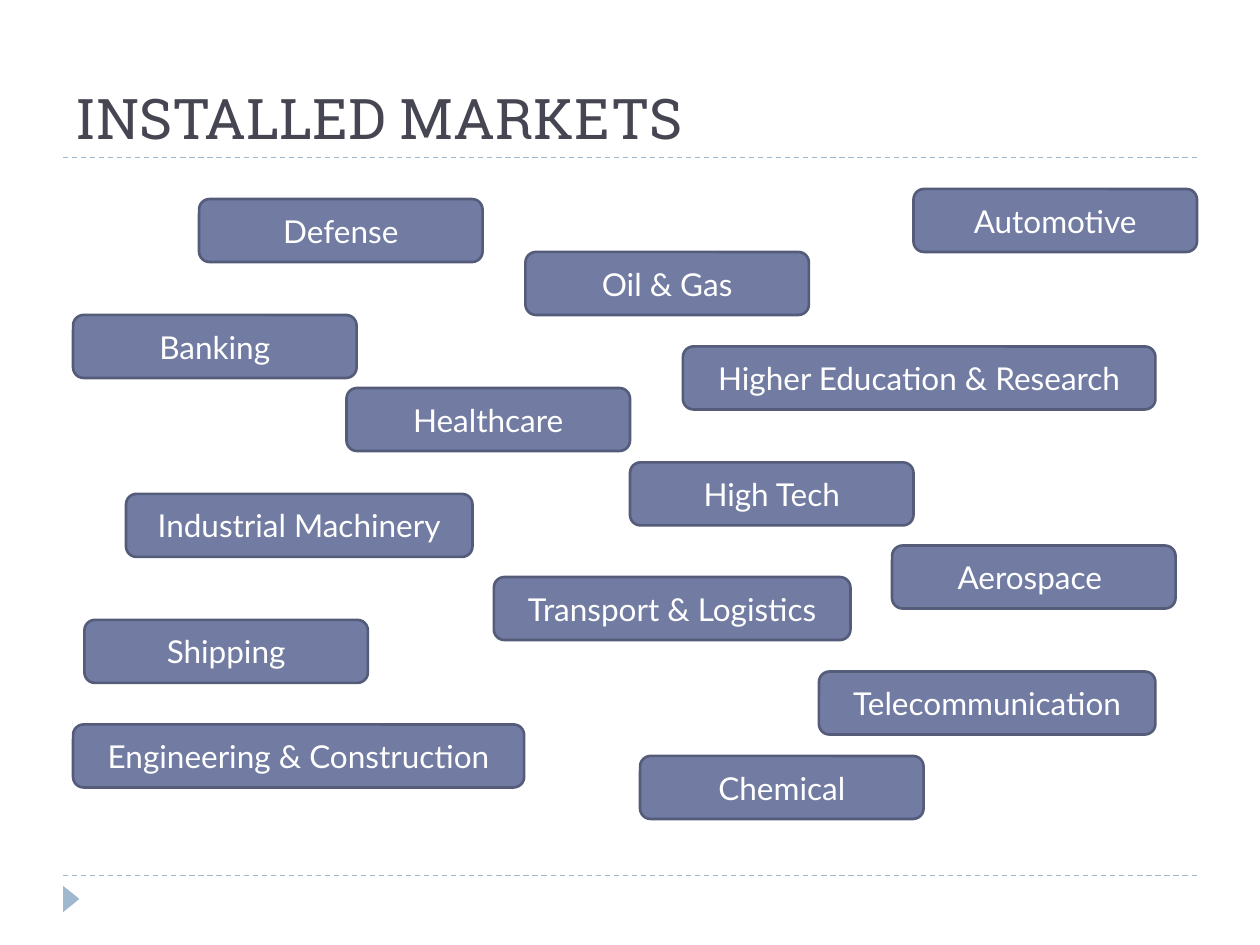
from lxml.etree import SubElement
from pptx import Presentation
from pptx.dml.color import RGBColor
from pptx.enum.dml import MSO_LINE
from pptx.enum.shapes import MSO_CONNECTOR, MSO_SHAPE
from pptx.enum.text import MSO_ANCHOR, MSO_AUTO_SIZE, PP_ALIGN
from pptx.oxml.ns import qn
from pptx.util import Inches, Pt

INK = RGBColor(0x46, 0x46, 0x53)
ACCENT = RGBColor(0x9F, 0xB8, 0xCD)
MARKET_FILL = RGBColor(0x72, 0x7C, 0xA3)
MARKET_EDGE = RGBColor(0x54, 0x5C, 0x79)
WHITE = RGBColor(0xFF, 0xFF, 0xFF)

MARKET_WIDTH, MARKET_HEIGHT = 2.25, 0.5
# name, left, top, width
MARKETS = [
    ("Banking", 0.58, 2.5, MARKET_WIDTH),
    ("High Tech", 5, 3.67, MARKET_WIDTH),
    ("Oil & Gas", 4.17, 2, MARKET_WIDTH),
    ("Healthcare", 2.75, 3.08, MARKET_WIDTH),
    ("Transport & Logistics", 3.92, 4.58, 2.83),
    ("Chemical", 5.08, 6, MARKET_WIDTH),
    ("Aerospace ", 7.08, 4.33, MARKET_WIDTH),
    ("Shipping", 0.67, 4.92, MARKET_WIDTH),
    ("Higher Education & Research", 5.42, 2.75, 3.75),
    ("Engineering & Construction", 0.58, 5.75, 3.58),
    ("Defense", 1.58, 1.58, MARKET_WIDTH),
    ("Automotive", 7.25, 1.5, MARKET_WIDTH),
    ("Telecommunication", 6.5, 5.33, 2.67),
    ("Industrial Machinery", 1, 3.92, 2.75),
]


def add_text(frame, text, font_name, size, color, align, anchor):
    """Write one formatted run into a text frame."""
    frame.word_wrap = True
    frame.auto_size = MSO_AUTO_SIZE.NONE
    frame.vertical_anchor = anchor
    paragraph = frame.paragraphs[0]
    paragraph.alignment = align
    run = paragraph.add_run()
    run.text = text
    run.font.name = font_name
    run.font.size = Pt(size)
    run.font.color.rgb = color


prs = Presentation()
prs.slide_width, prs.slide_height = Inches(10), Inches(7.5)
slide = prs.slides.add_slide(prs.slide_layouts[5])
shapes = slide.shapes

for rule_y in (6.95, 1.25):
    rule = shapes.add_connector(
        MSO_CONNECTOR.STRAIGHT, Inches(0.5), Inches(rule_y), Inches(9.5), Inches(rule_y))
    rule.line.color.rgb = ACCENT
    rule.line.width = Pt(0.75)
    rule.line.dash_style = MSO_LINE.DASH
    SubElement(rule._element.spPr, qn("a:effectLst"))

pointer = shapes.add_shape(
    MSO_SHAPE.ISOSCELES_TRIANGLE, Inches(0.46), Inches(7.07), Inches(0.21), Inches(0.13))
pointer.rotation = 90
pointer.shadow.inherit = False
pointer.fill.solid()
pointer.fill.fore_color.rgb = ACCENT
pointer.line.fill.background()

heading = shapes.title
heading.left, heading.top = Inches(0.5), Inches(0.17)
heading.width, heading.height = Inches(9), Inches(1.08)
add_text(heading.text_frame, "INSTALLED MARKETS", "Roboto Slab", 32, INK,
         PP_ALIGN.LEFT, MSO_ANCHOR.BOTTOM)

for name, left, top, width in MARKETS:
    market = shapes.add_shape(
        MSO_SHAPE.ROUNDED_RECTANGLE,
        Inches(left), Inches(top), Inches(width), Inches(MARKET_HEIGHT))
    market.shadow.inherit = False
    market.fill.solid()
    market.fill.fore_color.rgb = MARKET_FILL
    market.line.color.rgb = MARKET_EDGE
    market.line.width = Pt(1.5)
    add_text(market.text_frame, name, "Lato", 18, WHITE,
             PP_ALIGN.CENTER, MSO_ANCHOR.MIDDLE)

prs.save("out.pptx")
